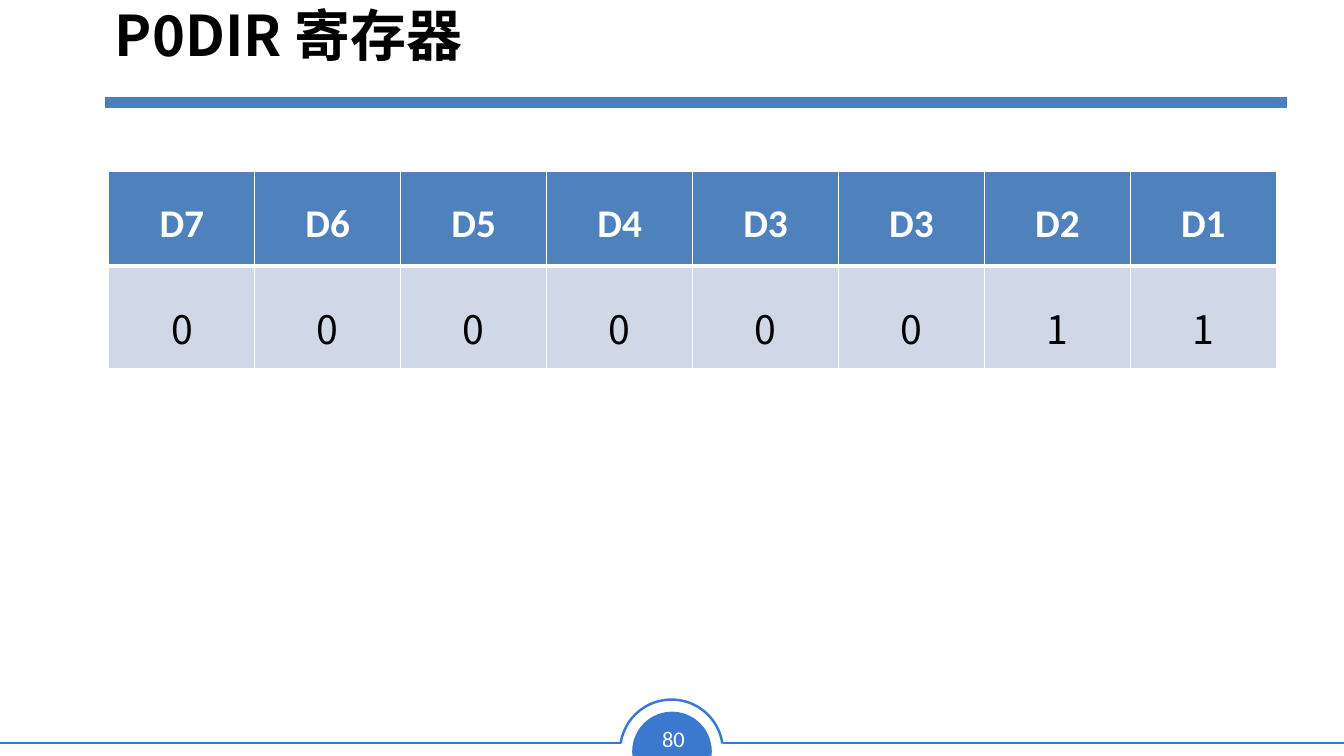
from lxml.etree import SubElement
from pptx import Presentation
from pptx.dml.color import RGBColor
from pptx.enum.shapes import MSO_CONNECTOR, MSO_SHAPE
from pptx.enum.text import MSO_ANCHOR, PP_ALIGN
from pptx.oxml import parse_xml
from pptx.oxml.ns import nsdecls, qn
from pptx.util import Inches, Pt

WHITE = RGBColor(0xFF, 0xFF, 0xFF)
BLACK = RGBColor(0x00, 0x00, 0x00)
FOOTER_BLUE = RGBColor(0x3B, 0x79, 0xCE)
RULE_BLUE = RGBColor(0x4B, 0x7E, 0xBC)
HEADER_BLUE = RGBColor(0x4F, 0x81, 0xBD)
BODY_BLUE = RGBColor(0xD0, 0xD8, 0xE8)
OUTLINE_PURPLE = RGBColor(0x5E, 0x45, 0x7C)
LATIN_FONT = "Calibri"
CJK_FONT = "Noto Sans CJK SC"

BITS = ["D7", "D6", "D5", "D4", "D3", "D3", "D2", "D1"]
VALUES = ["0", "0", "0", "0", "0", "0", "1", "1"]


def line_xml(tag, color, width):
    return parse_xml(
        f'<a:{tag} {nsdecls("a")} w="{int(Pt(width))}"><a:solidFill>'
        f'<a:srgbClr val="{color}"/></a:solidFill></a:{tag}>'
    )


def write(frame, text, *, size, font, color, bold=False, align=PP_ALIGN.LEFT,
          spacing=1.0, outline=None):
    paragraph = frame.paragraphs[0]
    paragraph.alignment = align
    paragraph.line_spacing = spacing
    run = paragraph.add_run()
    run.text = text
    run.font.size = Pt(size)
    run.font.bold = bold
    run.font.color.rgb = color
    run.font.name = font
    properties = run.font._element
    SubElement(properties, qn("a:ea")).set("typeface", font)
    if outline:
        properties.insert(0, line_xml("ln", *outline))


class RegisterSlide:
    """Draws the parts of a register slide in one shared style."""

    def __init__(self, deck):
        self.slide = deck.slides.add_slide(deck.slide_layouts[5])
        self.shapes = self.slide.shapes

    def title(self, text, left, top, width, height):
        heading = self.shapes.title
        heading.left, heading.top = Inches(left), Inches(top)
        heading.width, heading.height = Inches(width), Inches(height)
        frame = heading.text_frame
        frame.word_wrap = True
        frame.vertical_anchor = MSO_ANCHOR.TOP
        frame.margin_top = Inches(0.03)
        write(frame, text, size=40, font=CJK_FONT, color=BLACK, bold=True,
              spacing=0.9, outline=(OUTLINE_PURPLE, 0.71))

    def rule(self, start, end, y, color, width):
        rule = self.shapes.add_connector(
            MSO_CONNECTOR.STRAIGHT, Inches(start), Inches(y), Inches(end), Inches(y))
        rule.line.color.rgb = color
        rule.line.width = Pt(width)
        SubElement(rule._element.spPr, qn("a:effectLst"))

    def round_part(self, preset, left, top, size, angles, rotation=0, filled=False):
        part = self.shapes.add_shape(
            preset, Inches(left), Inches(top), Inches(size), Inches(size))
        part.shadow.inherit = False
        part.rotation = rotation
        for index, degrees in enumerate(angles):
            part.adjustments[index] = degrees * 0.6
        if filled:
            part.fill.solid()
            part.fill.fore_color.rgb = FOOTER_BLUE
            part.line.fill.background()
        else:
            part.fill.background()
            part.line.color.rgb = FOOTER_BLUE
            part.line.width = Pt(1.77)

    def page_number(self, text, left, top, width, height):
        label = self.shapes.add_textbox(
            Inches(left), Inches(top), Inches(width), Inches(height))
        label.text_frame.word_wrap = False
        write(label.text_frame, text, size=16, font=LATIN_FONT, color=WHITE,
              align=PP_ALIGN.CENTER)

    def register_table(self, left, top, width, heights):
        table = self.shapes.add_table(
            2, len(BITS), Inches(left), Inches(top), Inches(width),
            Inches(sum(heights))).table
        rows = [
            (BITS, HEADER_BLUE, {"lnL": 1, "lnR": 1, "lnT": 1, "lnB": 3},
             dict(font=LATIN_FONT, color=WHITE, bold=True)),
            (VALUES, BODY_BLUE, {"lnL": 1, "lnR": 1, "lnB": 1},
             dict(font=CJK_FONT, color=BLACK)),
        ]
        for row, (texts, fill, borders, style) in enumerate(rows):
            table.rows[row].height = Inches(heights[row])
            for column, text in enumerate(texts):
                cell = table.cell(row, column)
                cell.vertical_anchor = MSO_ANCHOR.TOP
                write(cell.text_frame, text, size=28, align=PP_ALIGN.CENTER,
                      spacing=1.5, **style)
                properties = cell._tc.get_or_add_tcPr()
                for tag, border in borders.items():
                    properties.append(line_xml(tag, WHITE, border))
                cell.fill.solid()
                cell.fill.fore_color.rgb = fill


def main():
    deck = Presentation()
    deck.slide_width, deck.slide_height = Inches(13.33), Inches(7.5)
    page = RegisterSlide(deck)
    page.round_part(MSO_SHAPE.CHORD, 6.27, 7.06, 0.79, (59.62, 255.48),
                    rotation=112.4, filled=True)
    for start, end in ((7.17, 13.33), (0, 6.16)):
        page.rule(start, end, 7.37, FOOTER_BLUE, 1.77)
    page.round_part(MSO_SHAPE.ARC, 6.15, 6.94, 1.02, (188.62, 351.63))
    page.page_number("80", 6.45, 7.14, 0.46, 0.37)
    page.rule(1.04, 12.76, 1.02, RULE_BLUE, 8)
    page.title("P0DIR 寄存器", 1.04, 0.05, 11.69, 0.92)
    page.register_table(1.08, 1.7, 11.58, (0.94, 1.02))
    deck.save("out.pptx")


if __name__ == "__main__":
    main()
